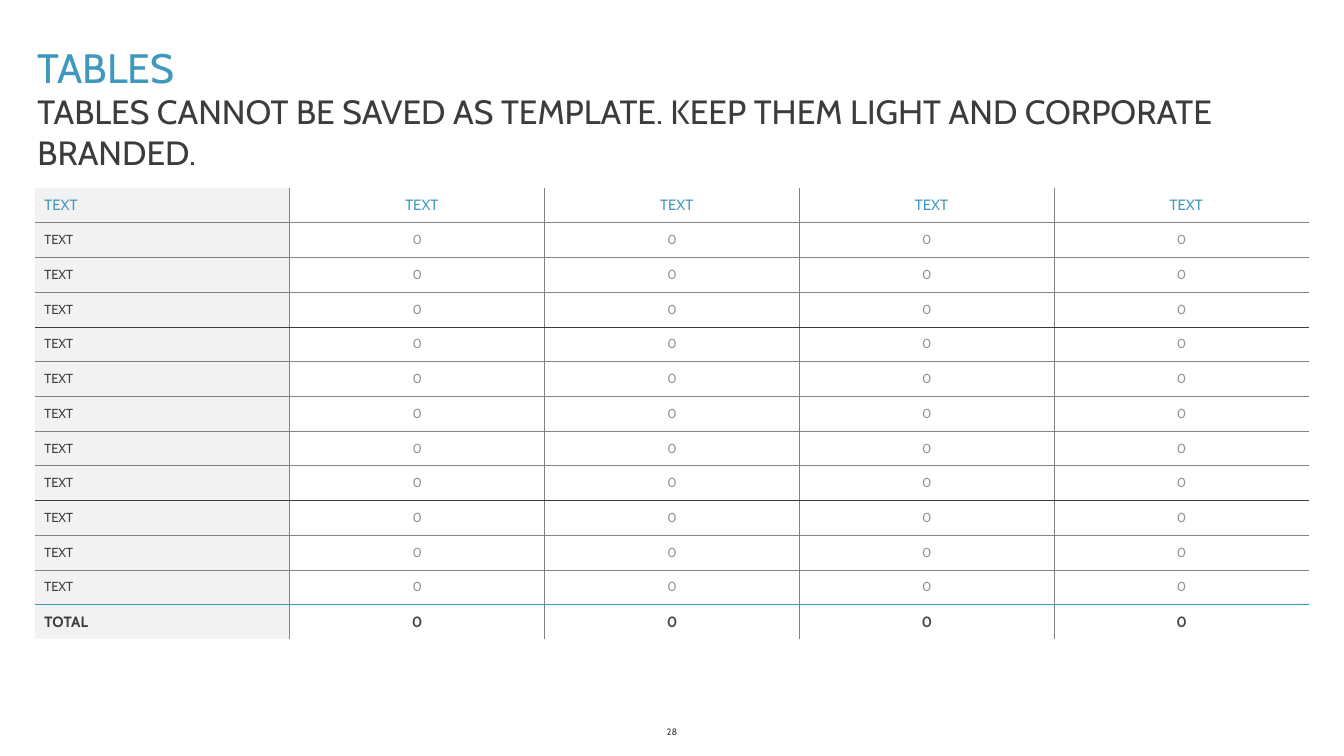
import lxml.etree
import pptx
import pptx.dml.color
import pptx.enum.text
import pptx.oxml.ns
import pptx.util

Pt = pptx.util.Pt
ALIGN = pptx.enum.text.PP_ALIGN
ANCHOR = pptx.enum.text.MSO_ANCHOR

HEADING = "TABLES"
SUBHEADING = "TABLES CANNOT BE SAVED AS TEMPLATE. KEEP THEM LIGHT AND CORPORATE BRANDED."
PAGE_NUMBER = "28"
ROWS = [
    ["TEXT"] * 5,
    *[["TEXT"] + ["0"] * 4 for _ in range(11)],
    ["TOTAL"] + ["0"] * 4,
]

THEME = {
    "font": "Cabin",
    "accent": "3F98BD", "dark": "3C3C3B", "total": "464749",
    "value": "929497", "rule": "818386", "label_fill": "F2F2F2",
    "heading": 22, "subheading": 18, "strong": 8, "cell": 7, "page": 5,
    "rule_width": 0.5,
}
# Row index -> colour of the rule below it; all others use the plain rule.
SPECIAL_RULES = {3: THEME["dark"], 8: THEME["dark"], 11: THEME["accent"]}

SLIDE_SIZE = (720, 405)
HEADING_BOX = (13, 18.7, 689, 34)
SUBHEADING_BOX = (13, 45.4, 689, 51)
PAGE_BOX = (326, 385, 68, 14)
TABLE_BOX = (18.8, 100.8, 682.5, 242)
CELL_INSET = 5
CELL_PADDING = 2


def rgb(colour):
    return pptx.dml.color.RGBColor.from_string(colour)


def write(frame, text, *, size, colour, bold=False, align=ALIGN.LEFT):
    paragraph = frame.paragraphs[0]
    paragraph.alignment = align
    run = paragraph.add_run()
    run.text = text
    run.font.name = THEME["font"]
    run.font.size = Pt(size)
    run.font.bold = bold
    run.font.color.rgb = rgb(colour)


def add_text(slide, box, text, anchor, **style):
    frame = slide.shapes.add_textbox(*map(Pt, box)).text_frame
    frame.word_wrap = True
    frame.vertical_anchor = anchor
    write(frame, text, **style)


def set_borders(cell, colours):
    """Draw left, right, top and bottom edges; None leaves an edge without a line."""
    qn = pptx.oxml.ns.qn
    properties = cell._tc.get_or_add_tcPr()
    for position, (side, colour) in enumerate(zip("LRTB", colours)):
        line = lxml.etree.Element(qn(f"a:ln{side}"), w=str(Pt(THEME["rule_width"])))
        if colour:
            fill = lxml.etree.SubElement(line, qn("a:solidFill"))
            lxml.etree.SubElement(fill, qn("a:srgbClr"), val=colour)
        else:
            lxml.etree.SubElement(line, qn("a:noFill"))
        properties.insert(position, line)


def cell_style(row, column):
    is_header, is_total = row == 0, row == len(ROWS) - 1
    if is_header:
        colour = THEME["accent"]
    elif column == 0:
        colour = THEME["dark"]
    else:
        colour = THEME["total"] if is_total else THEME["value"]
    return {
        "size": THEME["strong" if is_header or is_total else "cell"],
        "colour": colour,
        "bold": is_total,
        "align": ALIGN.CENTER if column else ALIGN.LEFT,
    }


def format_cell(cell, row, column):
    cell.vertical_anchor = ANCHOR.MIDDLE
    cell.margin_left = Pt(CELL_INSET if row == 0 or column == 0 else 0)
    cell.margin_right = 0
    cell.margin_top = cell.margin_bottom = Pt(CELL_PADDING)
    if column == 0:
        cell.fill.solid()
        cell.fill.fore_color.rgb = rgb(THEME["label_fill"])
    else:
        cell.fill.background()
    rule = THEME["rule"]
    set_borders(cell, (
        rule if column > 0 else None,
        rule if column < len(ROWS[0]) - 1 else None,
        SPECIAL_RULES.get(row - 1, rule) if row > 0 else None,
        SPECIAL_RULES.get(row, rule) if row < len(ROWS) - 1 else None,
    ))


def add_data_table(slide):
    width, height = TABLE_BOX[2:]
    table = slide.shapes.add_table(len(ROWS), len(ROWS[0]), *map(Pt, TABLE_BOX)).table
    table.first_row = table.horz_banding = False
    for column in table.columns:
        column.width = Pt(width / len(ROWS[0]))
    for r, values in enumerate(ROWS):
        table.rows[r].height = Pt(height / len(ROWS))
        for c, value in enumerate(values):
            cell = table.cell(r, c)
            format_cell(cell, r, c)
            write(cell.text_frame, value, **cell_style(r, c))


def main():
    deck = pptx.Presentation()
    deck.slide_width, deck.slide_height = map(Pt, SLIDE_SIZE)
    slide = deck.slides.add_slide(deck.slide_layouts[5])

    heading = slide.shapes.title
    heading.left, heading.top, heading.width, heading.height = map(Pt, HEADING_BOX)
    heading.text_frame.vertical_anchor = ANCHOR.BOTTOM
    write(heading.text_frame, HEADING, size=THEME["heading"], colour=THEME["accent"])

    add_text(slide, PAGE_BOX, PAGE_NUMBER, ANCHOR.MIDDLE,
             size=THEME["page"], colour=THEME["dark"], align=ALIGN.CENTER)
    add_text(slide, SUBHEADING_BOX, SUBHEADING, ANCHOR.TOP,
             size=THEME["subheading"], colour=THEME["dark"])
    add_data_table(slide)
    deck.save("out.pptx")


if __name__ == "__main__":
    main()
